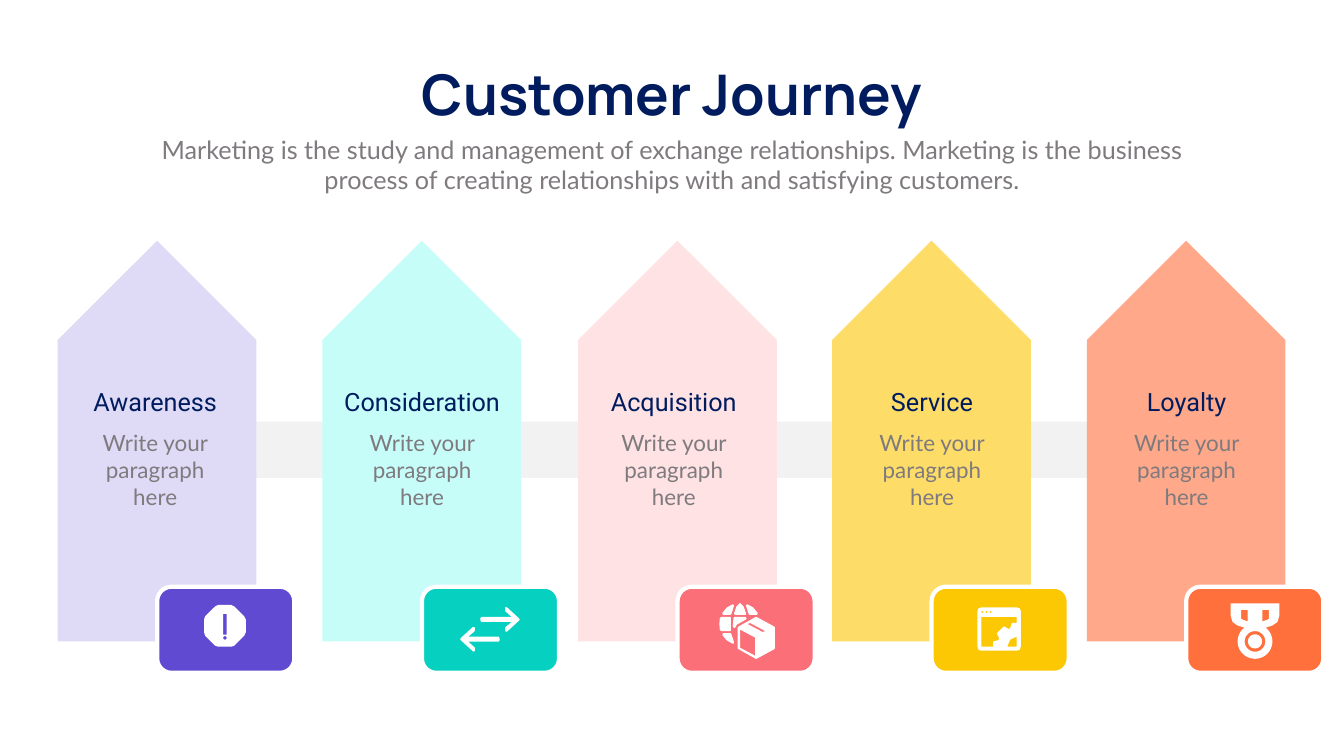
"""Build a customer journey slide with five upright arrows and icon badges."""
from dataclasses import dataclass
from math import cos, radians, sin

from pptx import Presentation
from pptx.dml.color import RGBColor
from pptx.enum.shapes import MSO_SHAPE
from pptx.enum.text import MSO_ANCHOR, MSO_AUTO_SIZE, PP_ALIGN
from pptx.util import Cm, Pt

ARROW, PENTAGON = MSO_SHAPE.RIGHT_ARROW, MSO_SHAPE.PENTAGON
ROUNDED = MSO_SHAPE.ROUNDED_RECTANGLE
CENTER, TOP, MIDDLE = PP_ALIGN.CENTER, MSO_ANCHOR.TOP, MSO_ANCHOR.MIDDLE
NO_AUTOFIT = MSO_AUTO_SIZE.NONE
TITLE_ONLY = 5


@dataclass(frozen=True)
class Theme:
    navy: str = "001C5E"
    gray: str = "7F7A7E"
    band: str = "F2F2F2"
    white: str = "FFFFFF"
    pale: tuple = ("DFDBF6", "C6FDF9", "FEE2E4", "FDDD68", "FFA98A")
    vivid: tuple = ("614AD2", "06D1C0", "FB6F79", "FCC703", "FF703C")
    title_size: int = 80
    label_size: int = 36
    body_size: int = 32
    title_font: str = "Manrope"
    label_font: str = "Roboto"
    body_font: str = "Lato"


theme = Theme()


def write_text(box, text, *, font, size, color, bold=False, wrap=True, anchor=TOP):
    frame = box.text_frame
    frame.word_wrap = wrap
    frame.auto_size = NO_AUTOFIT
    frame.vertical_anchor = anchor
    para = frame.paragraphs[0]
    para.alignment = CENTER
    span = para.add_run()
    span.text = text
    span.font.name = font
    span.font.size = Pt(size)
    span.font.bold = bold
    span.font.color.rgb = RGBColor.from_string(color)


def arc(x, y, radius, first=0, last=360):
    angles = [radians(first + (last - first) * step / 40) for step in range(41)]
    return [(x + radius * cos(angle), y + radius * sin(angle)) for angle in angles]


alert_icon = [[
    [(173, 59), (153, 39), (147, 36), (121, 36), (115, 39), (95, 59), (93, 65), (93, 90),
     (95, 97), (115, 117), (121, 119), (147, 119), (153, 117), (173, 97), (176, 90), (176, 65)],
    [(131, 54), (138, 54), (138, 95), (131, 95)],
    arc(134.5, 101.5, 3.5),
]]

left_arrow = [(152, 99), (92, 99), (104, 89), (105, 87), (105, 82), (104, 80), (101, 80),
              (77, 102), (76, 104), (77, 106), (101, 128), (104, 129), (105, 126),
              (105, 121), (104, 120), (92, 109), (152, 109), (154, 107), (154, 102)]
exchange_icon = [[left_arrow], [[(270 - x, 169 - y) for x, y in left_arrow]]]

globe_corner = [(91, 56), (105, 56), (107, 54), (112, 38), (112, 36), (109, 35),
                (98, 41), (89, 52), (89, 54)]
delivery_icon = [
    [[(113, 55), (115, 56), (134, 56), (136, 55), (136, 53), (131, 39), (124, 32),
      (117, 39), (112, 53)]],
    [[(106, 87), (106, 61), (104, 60), (87, 60), (84, 62), (83, 74), (84, 86), (87, 88),
      (104, 88)]],
    [[(107, 94), (105, 92), (91, 92), (89, 94), (89, 96), (97, 106), (109, 113),
      (111, 113), (112, 112), (112, 110)]],
    [globe_corner],
    [[(248 - x, y) for x, y in globe_corner]],
    [[(137, 63), (135, 60), (113, 60), (111, 62), (110, 74), (110, 80), (113, 82),
      (115, 80), (118, 75), (136, 65)]],
    [[(192, 79), (157, 60), (155, 60), (121, 79), (119, 81), (119, 122), (121, 124),
      (155, 143), (157, 143), (192, 124), (193, 122), (193, 81)],
     [(154, 137), (124, 121), (124, 85), (154, 101)],
     [(169, 90), (139, 74), (144, 72), (174, 88)]],
]

window_icon = [[
    [(169, 41), (99, 41), (93, 43), (91, 48), (91, 119), (93, 125), (99, 127), (169, 127),
     (175, 125), (177, 119), (177, 48), (175, 43)],
    *[arc(x, 50, 2) for x in (101, 109, 117)],
    [(169, 119), (150, 119), (156, 105), (169, 99)],
    [(169, 72), (160, 72), (159, 73), (156, 82), (153, 84), (145, 79), (143, 79), (130, 92),
     (130, 94), (134, 102), (133, 106), (124, 108), (122, 110), (122, 119), (99, 119),
     (99, 60), (169, 60)],
]]

ribbon_hole = [(109, 46), (122, 46), (122, 69), (109, 64)]
medal_icon = [
    [[(88, 33), (88, 57), (92, 70), (102, 77), (115, 81), *arc(136.5, 108.5, 34.5, 232, -52),
      (158, 81), (171, 77), (181, 70), (185, 57), (185, 33)],
     ribbon_hole,
     [(273 - x, y) for x, y in ribbon_hole],
     arc(136.5, 108.5, 20.5)],
    [arc(136.5, 108.5, 14)],
]

stages = [
    ("Awareness", 7.92, 7.82, 7.04, alert_icon),
    ("Consideration", 21.26, 21.27, 8.51, exchange_icon),
    ("Acquisition", 34.14, 33.95, 7.04, delivery_icon),
    ("Service", 46.94, 46.96, 7.04, window_icon),
    ("Loyalty", 59.77, 59.79, 7.04, medal_icon),
]

deck = Presentation()
deck.slide_width, deck.slide_height = Cm(67.72), Cm(38.1)
page = deck.slides.add_slide(deck.slide_layouts[TITLE_ONLY])
shapes = page.shapes

title = shapes.title
title.left, title.top, title.width, title.height = Cm(19.94), Cm(2.84), Cm(27.84), Cm(3.68)
write_text(title, "Customer Journey", font=theme.title_font, size=theme.title_size,
           color=theme.navy, bold=True, wrap=False, anchor=MIDDLE)

intro = shapes.add_textbox(Cm(7.42), Cm(6.63), Cm(52.88), Cm(3.33))
write_text(intro, "Marketing is the study and management of exchange relationships. "
           "Marketing is the business process of creating relationships with and "
           "satisfying customers.",
           font=theme.body_font, size=theme.label_size, color=theme.gray)

band = shapes.add_shape(ARROW, Cm(4.27), Cm(19.84), Cm(60.2), Cm(5.66))
band.shadow.inherit = False
band.fill.solid()
band.fill.fore_color.rgb = RGBColor.from_string(theme.band)
band.line.fill.background()

badge_top = Cm(29.57)
for (name, middle, text_middle, label_width, icon), pale, vivid in zip(
        stages, theme.pale, theme.vivid):
    pillar = shapes.add_shape(PENTAGON, Cm(middle - 10.1), Cm(17.22), Cm(20.19), Cm(10.01))
    pillar.rotation = 270
    pillar.shadow.inherit = False
    pillar.fill.solid()
    pillar.fill.fore_color.rgb = RGBColor.from_string(pale)
    pillar.line.fill.background()

    badge = shapes.add_shape(ROUNDED, Cm(middle), badge_top, Cm(6.91), Cm(4.34))
    badge.shadow.inherit = False
    badge.fill.solid()
    badge.fill.fore_color.rgb = RGBColor.from_string(vivid)
    badge.line.color.rgb = RGBColor.from_string(theme.white)
    badge.line.width = Pt(6)

    label = shapes.add_textbox(Cm(text_middle - label_width / 2), Cm(19.35),
                               Cm(label_width), Cm(1.8))
    write_text(label, name, font=theme.label_font, size=theme.label_size, color=theme.navy)
    body = shapes.add_textbox(Cm(text_middle - 3.39), Cm(21.51), Cm(6.78), Cm(4.37))
    write_text(body, "Write your paragraph here", font=theme.body_font,
               size=theme.body_size, color=theme.gray)

    for outlines in icon:
        start_x, start_y = outlines[0][0]
        builder = shapes.build_freeform(start_x * 10, start_y * 10, scale=Cm(0.00254))
        for index, outline in enumerate(outlines):
            points = [(x * 10, y * 10) for x, y in outline]
            if index:
                builder.move_to(*points[0])
            builder.add_line_segments(points[1:], close=True)
        glyph = builder.convert_to_shape(Cm(middle), badge_top)
        glyph.shadow.inherit = False
        glyph.fill.solid()
        glyph.fill.fore_color.rgb = RGBColor.from_string(theme.white)
        glyph.line.fill.background()

deck.save("out.pptx")
